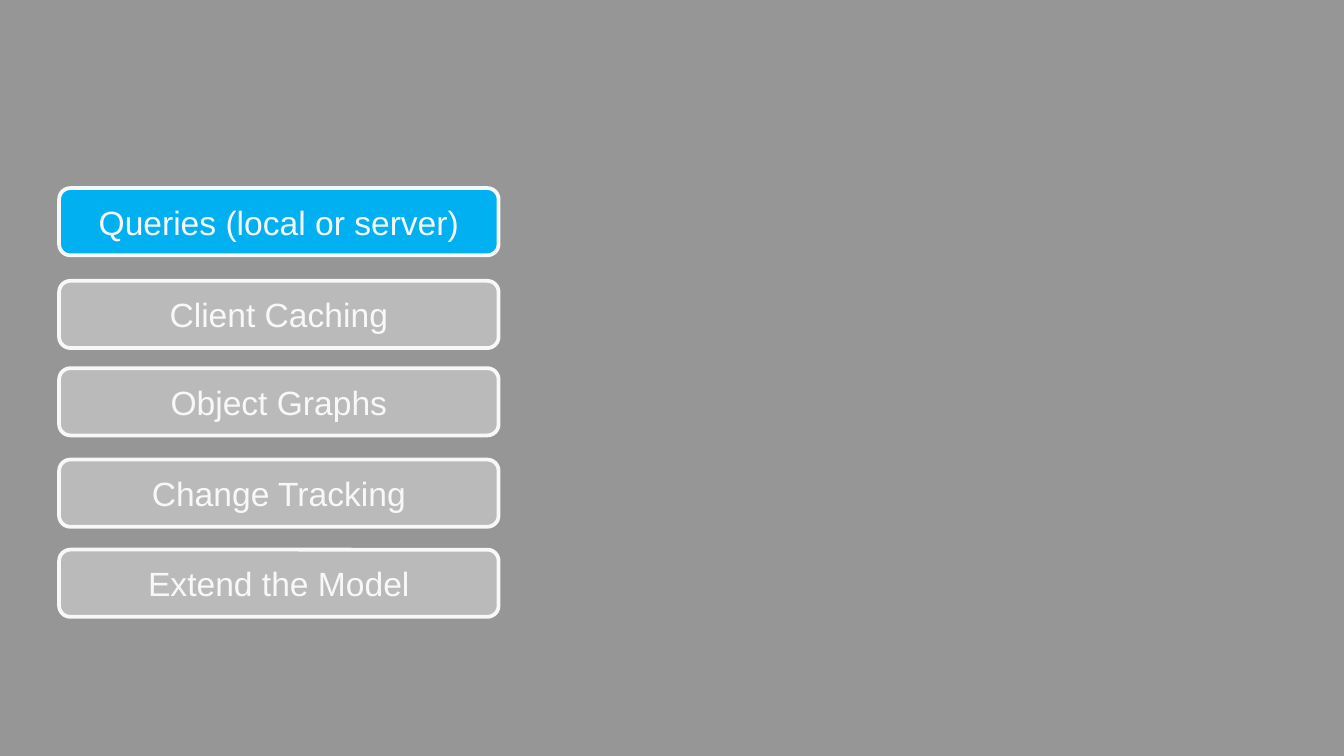
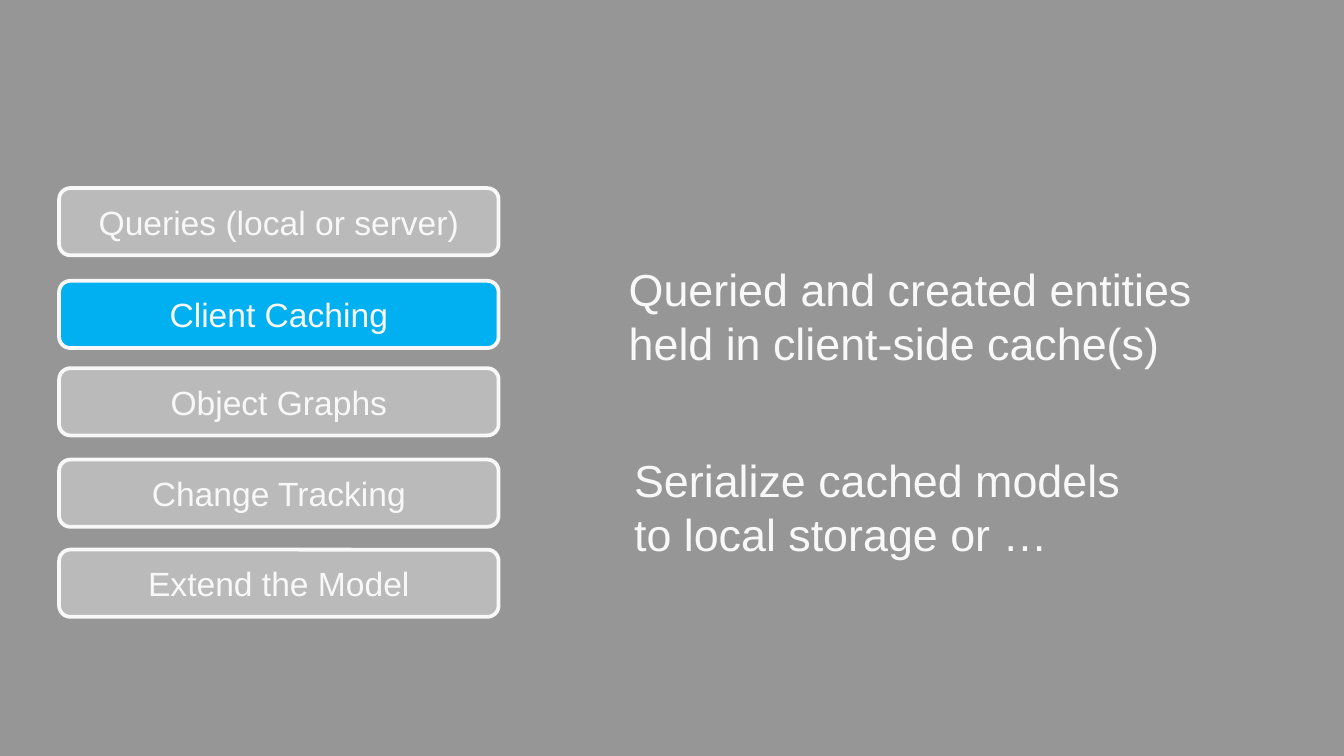
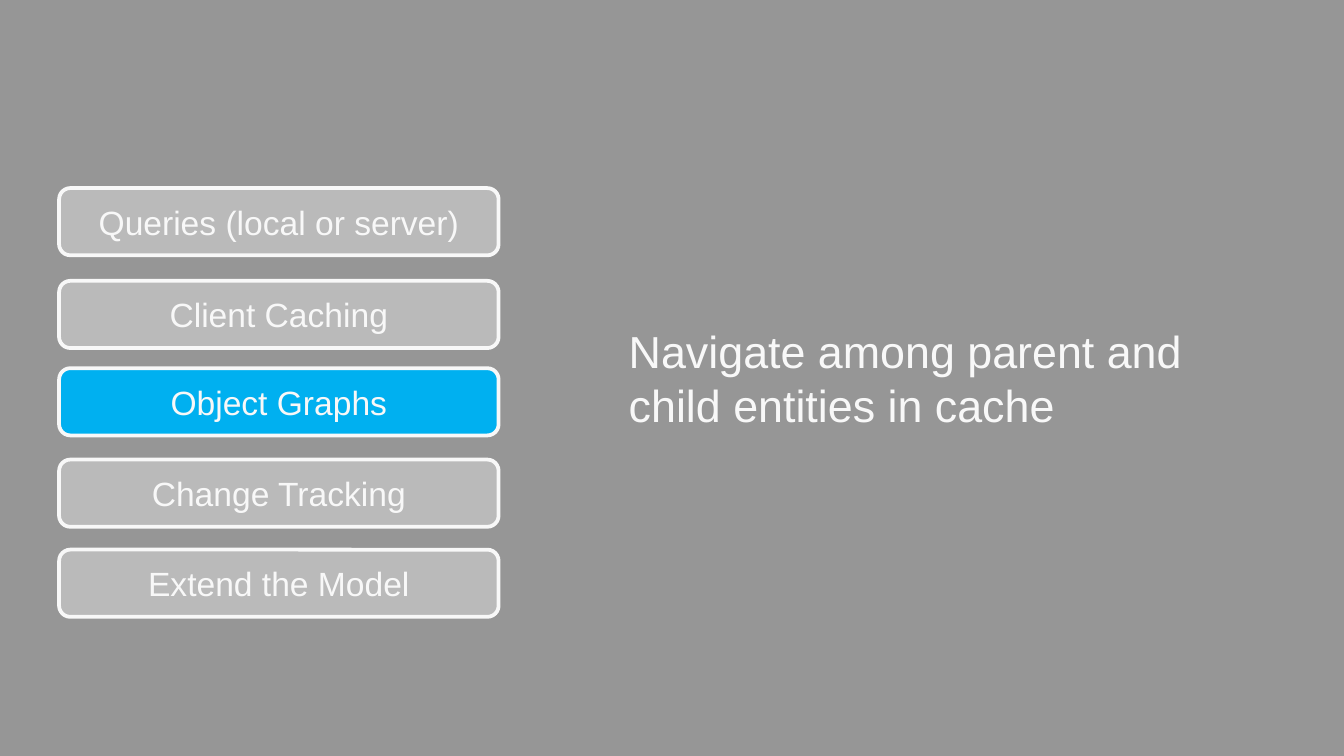
from pptx import Presentation
from pptx.dml.color import RGBColor
from pptx.enum.shapes import MSO_SHAPE
from pptx.enum.text import MSO_ANCHOR, MSO_AUTO_SIZE, PP_ALIGN
from pptx.util import Inches, Pt

# Content: button labels with their tops
MENU = [
    ("Client Caching", 2.09),
    ("Change Tracking", 3.42),
    ("Queries (local or server)", 1.4),
    ("Extend the Model", 4.09),
    ("Object Graphs", 2.74),
]

# Each slide: the active button, then notes as (left, top, lines)
SLIDES = [
    ("Queries (local or server)", []),
    ("Client Caching", [
        (4.58, 1.9, ["Queried and created entities held in client-side cache(s)"]),
        (4.62, 3.32, ["Serialize cached models ", "to local storage or …"]),
    ]),
    ("Object Graphs", [
        (4.58, 2.36, ["Navigate among parent and child entities in cache"]),
    ]),
]

# Shared style
WIDTH = 10
HEIGHT = WIDTH * 9 / 16
BACK, IDLE, ACTIVE, LIGHT = "969696", "BABABA", "00B0F0", "F8F8F8"
FONT = "Arial"
LEFT, BUTTON = 0.44, (3.27, 0.5)
NOTE = (5, 0.91)


def paint(fill, color):
    fill.solid()
    fill.fore_color.rgb = RGBColor.from_string(color)


def write(frame, lines, size, align):
    frame.word_wrap = True
    para = frame.paragraphs[0]
    para.alignment = align
    for i, line in enumerate(lines):
        if i:
            para.add_line_break()
        run = para.add_run()
        run.text = line
        run.font.name = FONT
        run.font.size = Pt(size)
        run.font.color.rgb = RGBColor.from_string(LIGHT)


def add_button(slide, label, top, color):
    box = slide.shapes.add_shape(
        MSO_SHAPE.ROUNDED_RECTANGLE, *map(Inches, (LEFT, top, *BUTTON)))
    box.shadow.inherit = False
    paint(box.fill, color)
    paint(box.line.fill, LIGHT)
    box.line.width = Pt(2)
    box.text_frame.vertical_anchor = MSO_ANCHOR.MIDDLE
    write(box.text_frame, [label], 18, PP_ALIGN.CENTER)


def add_note(slide, left, top, lines):
    box = slide.shapes.add_textbox(*map(Inches, (left, top, *NOTE)))
    write(box.text_frame, lines, 24, PP_ALIGN.LEFT)
    box.text_frame.auto_size = MSO_AUTO_SIZE.SHAPE_TO_FIT_TEXT


def main():
    prs = Presentation()
    prs.slide_width, prs.slide_height = Inches(WIDTH), Inches(HEIGHT)
    paint(prs.slide_master.background.fill, BACK)
    blank = prs.slide_layouts[6]

    for active, notes in SLIDES:
        slide = prs.slides.add_slide(blank)
        # Menu on the left
        for label, top in MENU:
            add_button(slide, label, top, ACTIVE if label == active else IDLE)
        # Notes on the right
        for note in notes:
            add_note(slide, *note)

    prs.save("out.pptx")


if __name__ == "__main__":
    main()
